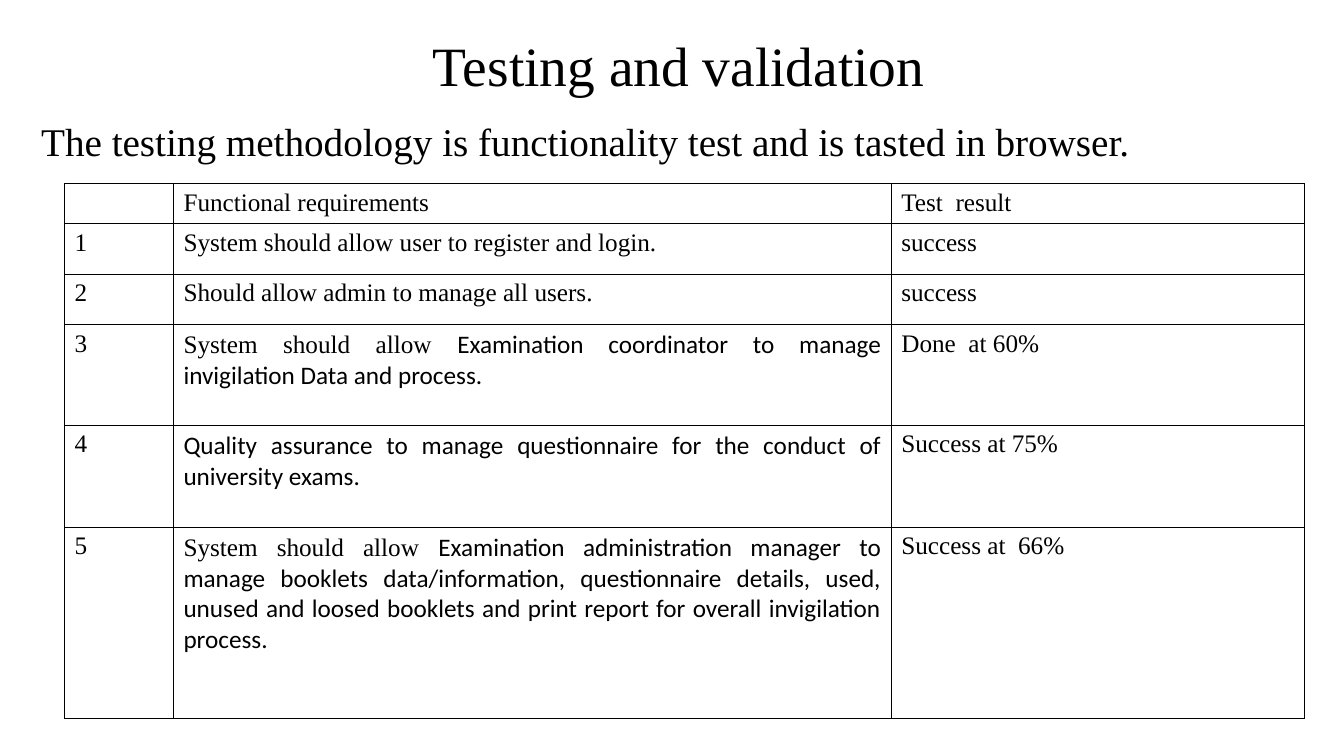
from pptx import Presentation
from pptx.dml.color import RGBColor
from pptx.enum.text import MSO_ANCHOR, MSO_AUTO_SIZE, PP_ALIGN
from pptx.oxml import parse_xml
from pptx.oxml.ns import nsdecls
from pptx.util import Inches, Pt

COLORS = {"ink": "000000", "paper": "FFFFFF"}
SERIF, SANS = "Times New Roman", "Calibri"
COLUMN_WIDTHS = [1.08, 7.12, 4.1]
ROW_HEIGHTS = [0.4, 0.5, 0.5, 1.0, 1.01, 1.9]
REQUIREMENTS = [
    ([("System should allow user to register and login.", SERIF)], "success"),
    ([("Should allow admin to manage all users.", SERIF)], "success"),
    ([("System should allow ", SERIF),
      ("Examination coordinator to manage invigilation Data and process.", SANS)],
     "Done  at 60%"),
    ([("Quality assurance to manage questionnaire for the conduct of "
       "university exams. ", SANS)], "Success at 75%"),
    ([("System should allow ", SERIF),
      ("Examination administration manager to manage booklets data/information, "
       "questionnaire details, used, unused and loosed booklets and print report "
       "for overall invigilation process.", SANS)], "Success at  66%"),
]


def style_font(font, size, name=SERIF):
    font.size = Pt(size)
    font.name = name
    font.color.rgb = RGBColor.from_string(COLORS["ink"])


def place_title(slide, left, top, width, height):
    title = slide.shapes.title
    title.left, title.top = Inches(left), Inches(top)
    title.width, title.height = Inches(width), Inches(height)
    frame = title.text_frame
    frame.text = " Testing and validation"
    frame.auto_size = MSO_AUTO_SIZE.NONE
    frame.vertical_anchor = MSO_ANCHOR.MIDDLE
    heading = frame.paragraphs[0]
    heading.alignment = PP_ALIGN.CENTER
    heading.line_spacing = 0.9
    style_font(heading.font, 39.6)


def add_methodology(slide, left, top, width, height):
    box = slide.shapes.add_textbox(
        Inches(left), Inches(top), Inches(width), Inches(height))
    frame = box.text_frame
    frame.word_wrap = True
    frame.text = ("The testing methodology is functionality test "
                  "and is tasted in browser.")
    sentence = frame.paragraphs[0]
    sentence.line_spacing = 0.9
    sentence.space_before = Pt(10)
    style_font(sentence.font, 28)


def add_borders(cell):
    properties = cell._tc.get_or_add_tcPr()
    for index, side in enumerate(("lnL", "lnR", "lnT", "lnB")):
        properties.insert(index, parse_xml(
            f'<a:{side} {nsdecls("a")} w="12700"><a:solidFill>'
            f'<a:srgbClr val="{COLORS["ink"]}"/></a:solidFill></a:{side}>'))


def fill_cell(cell, pieces):
    cell.fill.solid()
    cell.fill.fore_color.rgb = RGBColor.from_string(COLORS["paper"])
    add_borders(cell)
    paragraph = cell.text_frame.paragraphs[0]
    paragraph.alignment = PP_ALIGN.JUSTIFY
    style_font(paragraph.font, 18)
    for text, font_name in pieces:
        run = paragraph.add_run()
        run.text = text
        style_font(run.font, 18, font_name)


def add_results_table(slide, left, top):
    results = slide.shapes.add_table(
        len(ROW_HEIGHTS), len(COLUMN_WIDTHS), Inches(left), Inches(top),
        Inches(sum(COLUMN_WIDTHS)), Inches(sum(ROW_HEIGHTS))).table
    results.first_row = results.horz_banding = False
    for column, width in zip(results.columns, COLUMN_WIDTHS):
        column.width = Inches(width)
    for row, height in zip(results.rows, ROW_HEIGHTS):
        row.height = Inches(height)

    header = [[], [("Functional requirements", SERIF)], [("Test  result", SERIF)]]
    body = [[[(str(number), SERIF)], requirement, [(outcome, SERIF)]]
            for number, (requirement, outcome) in enumerate(REQUIREMENTS, 1)]
    for row, contents in zip(results.rows, [header] + body):
        for cell, pieces in zip(row.cells, contents):
            fill_cell(cell, pieces)


def main():
    deck = Presentation()
    deck.slide_width, deck.slide_height = Inches(13.33), Inches(7.5)
    slide = deck.slides.add_slide(deck.slide_layouts[5])
    place_title(slide, 0.92, 0.4, 11.5, 0.56)
    add_methodology(slide, 0.31, 1.17, 12.9, 0.6)
    add_results_table(slide, 0.64, 1.82)
    deck.save("out.pptx")


if __name__ == "__main__":
    main()
